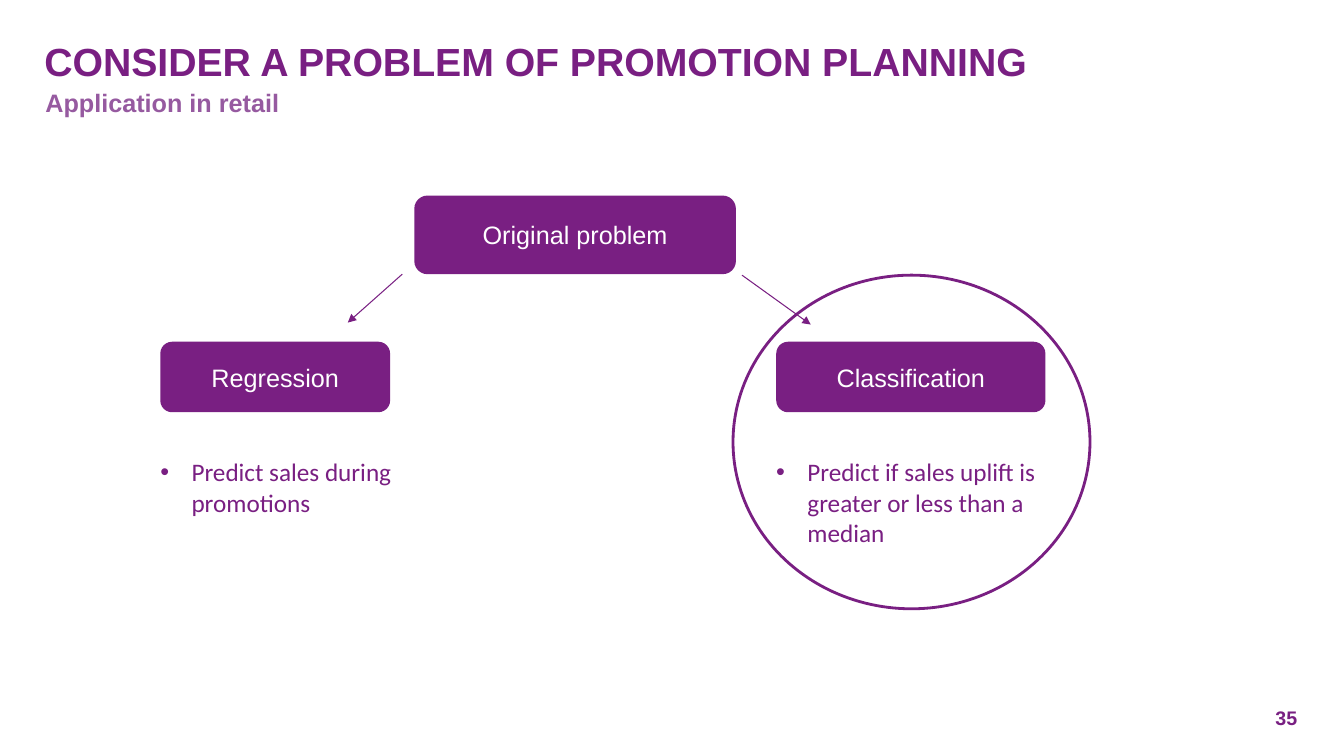
import pptx
import pptx.util
import pptx.dml.color
import pptx.enum.shapes
import pptx.enum.text
import pptx.oxml.ns
from lxml import etree

PURPLE = pptx.dml.color.RGBColor(0x79, 0x1F, 0x82)
LILAC = pptx.dml.color.RGBColor(0x96, 0x5A, 0xA0)
WHITE = pptx.dml.color.RGBColor(0xFF, 0xFF, 0xFF)
SHAPE = pptx.enum.shapes.MSO_SHAPE
ANCHOR = pptx.enum.text.MSO_ANCHOR
qn = pptx.oxml.ns.qn

prs = pptx.Presentation()
prs.slide_width = pptx.util.Inches(13.33)
prs.slide_height = pptx.util.Inches(7.5)
s = prs.slides.add_slide(prs.slide_layouts[6])


def place(x, y, w, h):
    """Turn percentages of the slide's width and height into lengths."""
    W, H = prs.slide_width, prs.slide_height
    return [int(share * side / 100) for share, side in zip((x, y, w, h), (W, H, W, H))]


def write(sp, text, size, color, bold=False, font="Arial", anchor=ANCHOR.TOP):
    """Put one run into a shape without margins and return its paragraph."""
    tf = sp.text_frame
    tf.word_wrap = True
    tf.vertical_anchor = anchor
    tf.margin_left = tf.margin_top = tf.margin_right = tf.margin_bottom = 0
    p = tf.paragraphs[0]
    r = p.add_run()
    r.text = text
    r.font.size = pptx.util.Pt(size)
    r.font.name = font
    r.font.bold = bold
    r.font.color.rgb = color
    return p


# Title, subtitle and slide number
sp = s.shapes.add_textbox(*place(3.3, 3.87, 93.15, 7.33))
write(sp, "CONSIDER A PROBLEM OF PROMOTION PLANNING", 28, PURPLE, True, anchor=ANCHOR.BOTTOM)
sp = s.shapes.add_textbox(*place(3.38, 10.8, 93.1, 6.27))
p = write(sp, "Application in retail", 18, LILAC, True)
p.line_spacing = 1.2
sp = s.shapes.add_textbox(*place(94.9, 93.73, 2.7, 2.8))
write(sp, "35", 14, PURPLE, True, anchor=ANCHOR.BOTTOM)

# Problem boxes
LEFT, RIGHT, BRANCH_TOP = 11.93, 57.76, 45.2
for text, box in (
    ("Original problem", (30.83, 25.87, 23.93, 10.4)),
    ("Regression", (LEFT, BRANCH_TOP, 17.1, 9.33)),
    ("Classification", (RIGHT, BRANCH_TOP, 20.03, 9.33)),
):
    sp = s.shapes.add_shape(SHAPE.ROUNDED_RECTANGLE, *place(*box))
    sp.shadow.inherit = False
    sp.fill.solid()
    sp.fill.fore_color.rgb = PURPLE
    sp.line.fill.background()
    p = write(sp, text, 18, WHITE, anchor=ANCHOR.MIDDLE)
    p.alignment = pptx.enum.text.PP_ALIGN.CENTER

# Bulleted explanations
for text, x, w, h in (
    ("Predict sales during promotions", LEFT, 18, 23.87),
    ("Predict if sales uplift is greater or less than a median", RIGHT, 20.78, 14),
):
    sp = s.shapes.add_textbox(*place(x, 60.4, w, h))
    p = write(sp, text, 18, PURPLE, font="Calibri")
    pPr = p._p.get_or_add_pPr()
    indent = pptx.util.Inches(0.31)
    pPr.set("marL", str(indent))
    pPr.set("indent", str(-indent))
    etree.SubElement(pPr, qn("a:buFont")).set("typeface", "Arial")
    etree.SubElement(pPr, qn("a:buChar")).set("char", "•")

# Arrows to the two branches
for ends in ((29.93, 36.27, 25.88, 42.67), (55.21, 36.4, 60.32, 42.93)):
    arrow = s.shapes.add_connector(pptx.enum.shapes.MSO_CONNECTOR.STRAIGHT, *place(*ends))
    arrow.line.color.rgb = PURPLE
    arrow.line.width = pptx.util.Pt(0.75)
    etree.SubElement(arrow.line._get_or_add_ln(), qn("a:tailEnd")).set("type", "triangle")
    etree.SubElement(arrow._element.spPr, qn("a:effectLst"))

# Ring around the chosen branch
ring = s.shapes.add_shape(SHAPE.OVAL, *place(54.54, 36.4, 26.56, 44.13))
ring.shadow.inherit = False
ring.fill.background()
ring.line.color.rgb = PURPLE
ring.line.width = pptx.util.Pt(2)

prs.save("out.pptx")
